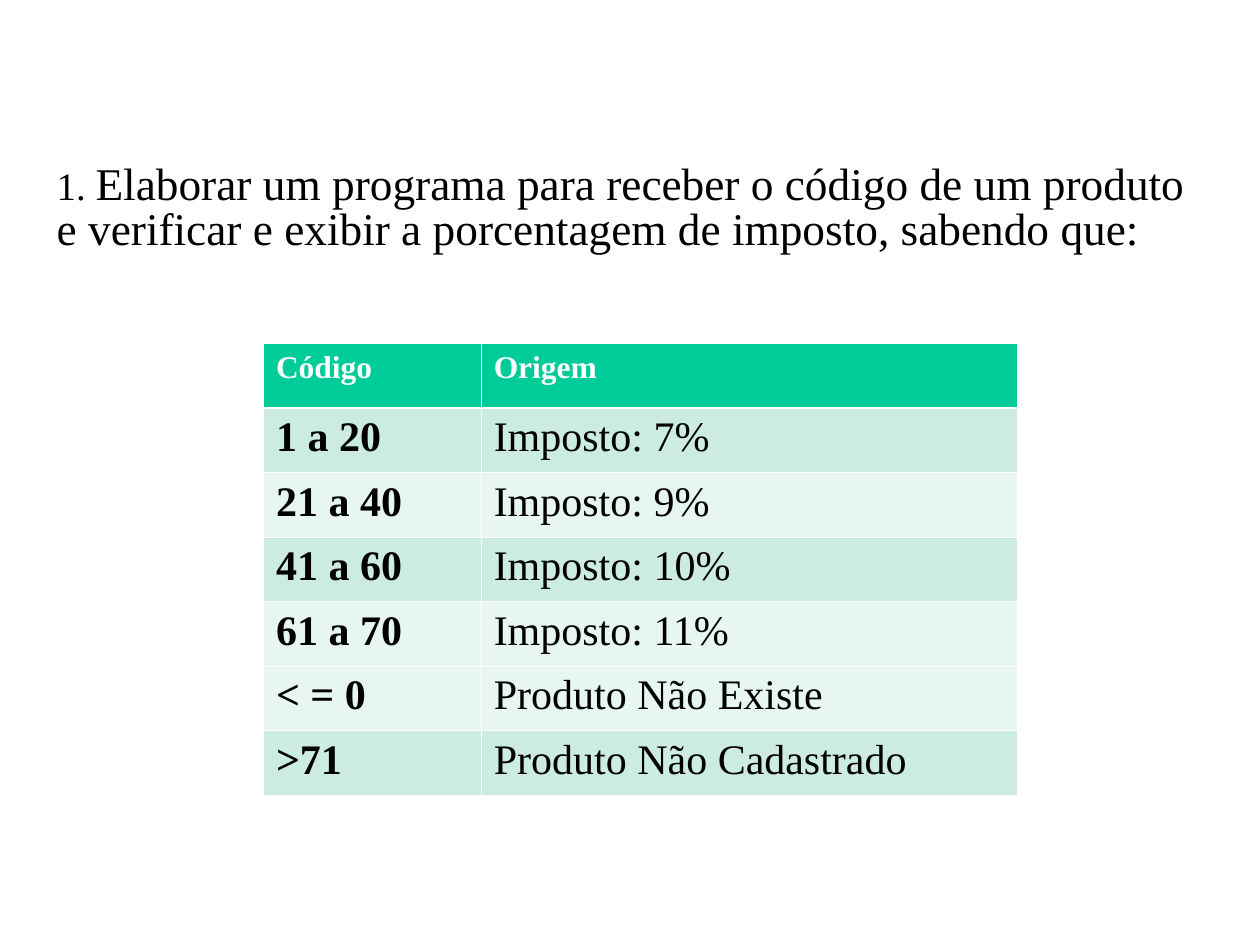
from lxml import etree
from pptx import Presentation
from pptx.dml.color import RGBColor
from pptx.enum.text import MSO_ANCHOR, MSO_AUTO_SIZE
from pptx.oxml.ns import qn
from pptx.util import Cm, Pt

TOP = MSO_ANCHOR.TOP
NO_AUTOFIT = MSO_AUTO_SIZE.NONE

THEME = {
    "font": "Times New Roman",
    "text": "000000", "header_text": "FFFFFF", "border": "FFFFFF",
    "header": "00CC99", "dark": "CBECDE", "light": "E7F6EF",
    "number_size": 22.2, "statement_size": 25.9,
    "header_size": 18, "cell_size": 24,
    "thin": 0.45, "thick": 1.47,
}

STATEMENT = [
    ("1. ", "number_size"),
    ("Elaborar um programa para receber o código de um produto "
     "e verificar e exibir a porcentagem de imposto, sabendo que:", "statement_size"),
]
TAX_ROWS = [
    ("Código", "Origem", "header"),
    ("1 a 20", "Imposto: 7%", "dark"),
    ("21 a 40", "Imposto: 9%", "light"),
    ("41 a 60", "Imposto: 10%", "dark"),
    ("61 a 70", "Imposto: 11%", "light"),
    ("< = 0", "Produto Não Existe", "light"),
    (">71", "Produto Não Cadastrado", "dark"),
]
COLUMN_WIDTHS = (4.39, 10.8)
ROW_HEIGHT = 1.3


def style_run(run, size, color="text", bold=False):
    run.font.name = THEME["font"]
    run.font.size = Pt(THEME[size])
    run.font.bold = bold
    run.font.color.rgb = RGBColor.from_string(THEME[color])


def set_borders(cell, **weights):
    """Draw the cell's sides; the lines must precede the fill in tcPr."""
    properties = cell._tc.get_or_add_tcPr()
    for position, (side, weight) in enumerate(weights.items()):
        line = etree.Element(qn(f"a:ln{side}"), w=str(Pt(THEME[weight])))
        fill = etree.SubElement(line, qn("a:solidFill"))
        etree.SubElement(fill, qn("a:srgbClr"), val=THEME["border"])
        properties.insert(position, line)


def add_statement(slide):
    body = slide.placeholders[1]
    body.left, body.top, body.width, body.height = Cm(0.89), Cm(3.33), Cm(23.6), Cm(2.51)
    frame = body.text_frame
    frame.auto_size = NO_AUTOFIT
    frame.vertical_anchor = TOP
    frame.margin_top = 0
    paragraph = frame.paragraphs[0]
    paragraph.line_spacing = 0.82
    paragraph.space_before = Pt(7)
    properties = paragraph._p.get_or_add_pPr()
    properties.set("marL", "0")
    properties.set("indent", "0")
    etree.SubElement(properties, qn("a:buNone"))
    for text, size in STATEMENT:
        run = paragraph.add_run()
        run.text = text
        style_run(run, size)


def add_tax_table(slide):
    table = slide.shapes.add_table(
        len(TAX_ROWS), len(COLUMN_WIDTHS), Cm(5.31), Cm(6.93),
        Cm(sum(COLUMN_WIDTHS)), Cm(ROW_HEIGHT * len(TAX_ROWS))).table
    for column, width in zip(table.columns, COLUMN_WIDTHS):
        column.width = Cm(width)
    for row_index, (*texts, fill) in enumerate(TAX_ROWS):
        table.rows[row_index].height = Cm(ROW_HEIGHT)
        is_header = row_index == 0
        for column_index, text in enumerate(texts):
            cell = table.cell(row_index, column_index)
            cell.text = text
            cell.fill.solid()
            cell.fill.fore_color.rgb = RGBColor.from_string(THEME[fill])
            style_run(cell.text_frame.paragraphs[0].runs[0],
                      "header_size" if is_header else "cell_size",
                      "header_text" if is_header else "text",
                      bold=is_header or column_index == 0)
            set_borders(cell, L="thin", R="thin",
                        T="thick" if row_index == 1 else "thin",
                        B="thick" if is_header else "thin")


def main():
    presentation = Presentation()
    presentation.slide_width, presentation.slide_height = Cm(25.4), Cm(19.05)
    slide = presentation.slides.add_slide(presentation.slide_layouts[1])
    title = slide.shapes.title.element
    title.getparent().remove(title)
    add_statement(slide)
    add_tax_table(slide)
    presentation.save("out.pptx")


if __name__ == "__main__":
    main()
